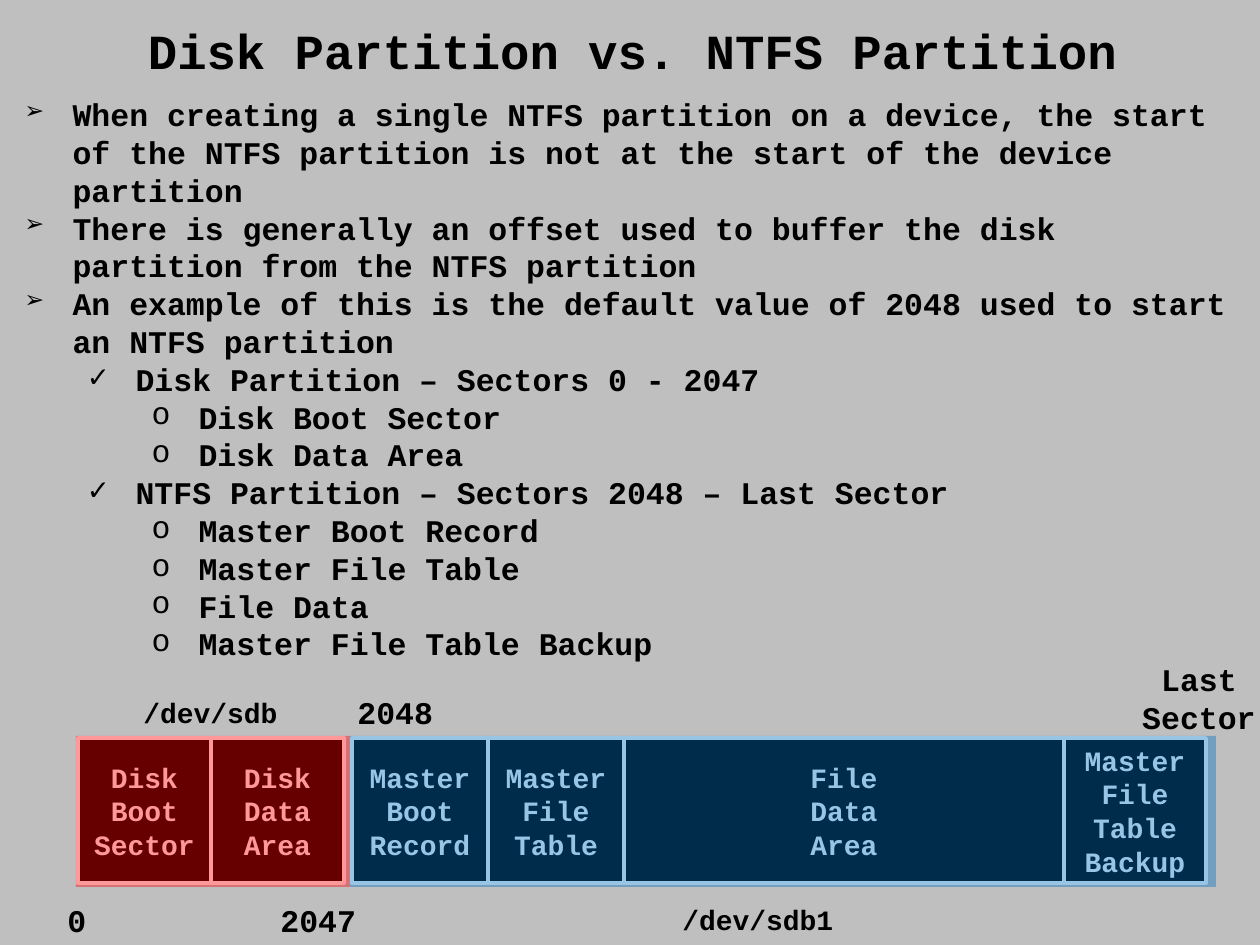
from dataclasses import dataclass

from lxml.etree import SubElement
from pptx import Presentation
from pptx.dml.color import RGBColor
from pptx.enum.shapes import MSO_SHAPE
from pptx.enum.text import MSO_ANCHOR, MSO_AUTO_SIZE, PP_ALIGN
from pptx.oxml.ns import qn
from pptx.util import Emu, Pt

EMU_PER_PX = 914400 / 126


def px(length):
    return Emu(round(length * EMU_PER_PX))


@dataclass(frozen=True)
class Theme:
    font: str = "Courier New"
    background: str = "BFBFBF"
    ink: str = "000000"
    cell_text: str = "FFFFFF"
    disk: str = "FF0000"
    ntfs: str = "0070C0"
    title_size: int = 28
    body_size: int = 18
    small_size: int = 16
    bullets: tuple = ("➢", "✓", "o")


class SlideBuilder:
    """Holds the theme and the slide being drawn; boxes are (left, top, width, height) in px."""

    def __init__(self, slide, theme):
        self.slide = slide
        self.theme = theme
        fill = slide.background.fill
        fill.solid()
        fill.fore_color.rgb = RGBColor.from_string(theme.background)

    def place(self, shape, box):
        shape.left, shape.top, shape.width, shape.height = map(px, box)

    def set_text(self, text_frame, lines, size, color, align):
        text_frame.text = "\n".join(lines)
        for paragraph in text_frame.paragraphs:
            paragraph.alignment = align
            font = paragraph.font
            font.name, font.size, font.bold = self.theme.font, Pt(size), True
            font.color.rgb = RGBColor.from_string(color)

    def title(self, text, box):
        shape = self.slide.shapes.title
        self.place(shape, box)
        frame = shape.text_frame
        frame.auto_size = MSO_AUTO_SIZE.NONE
        frame.vertical_anchor = MSO_ANCHOR.MIDDLE
        self.set_text(frame, [text], self.theme.title_size, self.theme.ink, PP_ALIGN.CENTER)

    def outline(self, items, box):
        """Fill the body placeholder with (level, text) items."""
        shape = self.slide.placeholders[1]
        self.place(shape, box)
        frame = shape.text_frame
        frame.auto_size = MSO_AUTO_SIZE.NONE
        self.set_text(frame, [text for _, text in items],
                      self.theme.body_size, self.theme.ink, PP_ALIGN.LEFT)
        for paragraph, (level, _) in zip(frame.paragraphs, items):
            paragraph.level = level
            paragraph.space_before = Pt(0)
            properties = paragraph._p.get_or_add_pPr()
            properties.set("marL", str(px(47 + 63 * level)))
            properties.set("indent", str(-px(47)))
            bullet_font = properties.makeelement(qn("a:buFont"), {"typeface": self.theme.font})
            bullet = properties.makeelement(qn("a:buChar"), {"char": self.theme.bullets[level]})
            default_run = properties.find(qn("a:defRPr"))
            default_run.addprevious(bullet_font)
            default_run.addprevious(bullet)

    def rectangle(self, box, color):
        shape = self.slide.shapes.add_shape(MSO_SHAPE.RECTANGLE, *map(px, box))
        shape.shadow.inherit = False
        shape.fill.solid()
        shape.fill.fore_color.rgb = RGBColor.from_string(color)
        return shape

    def cell(self, lines, box):
        shape = self.rectangle(box, self.theme.ink)
        shape.line.color.rgb = RGBColor.from_string(self.theme.cell_text)
        shape.line.width = Pt(2)
        shape.text_frame.vertical_anchor = MSO_ANCHOR.MIDDLE
        self.set_text(shape.text_frame, lines, self.theme.small_size,
                      self.theme.cell_text, PP_ALIGN.CENTER)

    def tint(self, box, color, opacity=40):
        shape = self.rectangle(box, color)
        shape.line.fill.background()
        color_element = shape._element.spPr.find(qn("a:solidFill"))[0]
        SubElement(color_element, qn("a:alpha")).set("val", str(opacity * 1000))

    def label(self, lines, box, size, align=PP_ALIGN.LEFT):
        frame = self.slide.shapes.add_textbox(*map(px, box)).text_frame
        frame.word_wrap = False
        frame.auto_size = MSO_AUTO_SIZE.SHAPE_TO_FIT_TEXT
        self.set_text(frame, lines, size, self.theme.ink, align)


OUTLINE = [
    (0, "When creating a single NTFS partition on a device, the start of the NTFS "
        "partition is not at the start of the device partition"),
    (0, "There is generally an offset used to buffer the disk partition from the "
        "NTFS partition"),
    (0, "An example of this is the default value of 2048 used to start an NTFS partition"),
    (1, "Disk Partition – Sectors 0 - 2047"),
    (2, "Disk Boot Sector"),
    (2, "Disk Data Area"),
    (1, "NTFS Partition – Sectors 2048 – Last Sector"),
    (2, "Master Boot Record"),
    (2, "Master File Table"),
    (2, "File Data"),
    (2, "Master File Table Backup"),
]
NTFS_AREAS = [("Master Boot Record", 136), ("Master File Table", 136),
              ("File Data Area", 440), ("Master File Table Backup", 142)]
DISK_AREAS = [("Disk Boot Sector", 133), ("Disk Data Area", 133)]


def main():
    presentation = Presentation()
    presentation.slide_width, presentation.slide_height = px(1260), px(945)
    theme = Theme()
    slide = presentation.slides.add_slide(presentation.slide_layouts[1])
    builder = SlideBuilder(slide, theme)

    builder.title("Disk Partition vs. NTFS Partition", (72, 9, 1121, 81))
    builder.outline(OUTLINE, (13, 89, 1236, 577))

    for left, areas in ((352, NTFS_AREAS), (78, DISK_AREAS)):
        for name, width in areas:
            builder.cell(name.split(), (left, 738, width, 145))
            left += width
    builder.tint((76, 736, 273, 151), theme.disk)
    builder.tint((349, 736, 867, 151), theme.ntfs)

    builder.label(["/dev/sdb"], (131, 689, 161, 47), theme.small_size)
    builder.label(["/dev/sdb1"], (670, 896, 179, 47), theme.small_size)
    builder.label(["0"], (55, 895, 44, 50), theme.body_size)
    builder.label(["2047"], (268, 895, 102, 50), theme.body_size)
    builder.label(["2048"], (345, 687, 102, 50), theme.body_size)
    builder.label(["Last", "Sector"], (1129, 654, 140, 89), theme.body_size, PP_ALIGN.CENTER)

    presentation.save("out.pptx")


if __name__ == "__main__":
    main()
